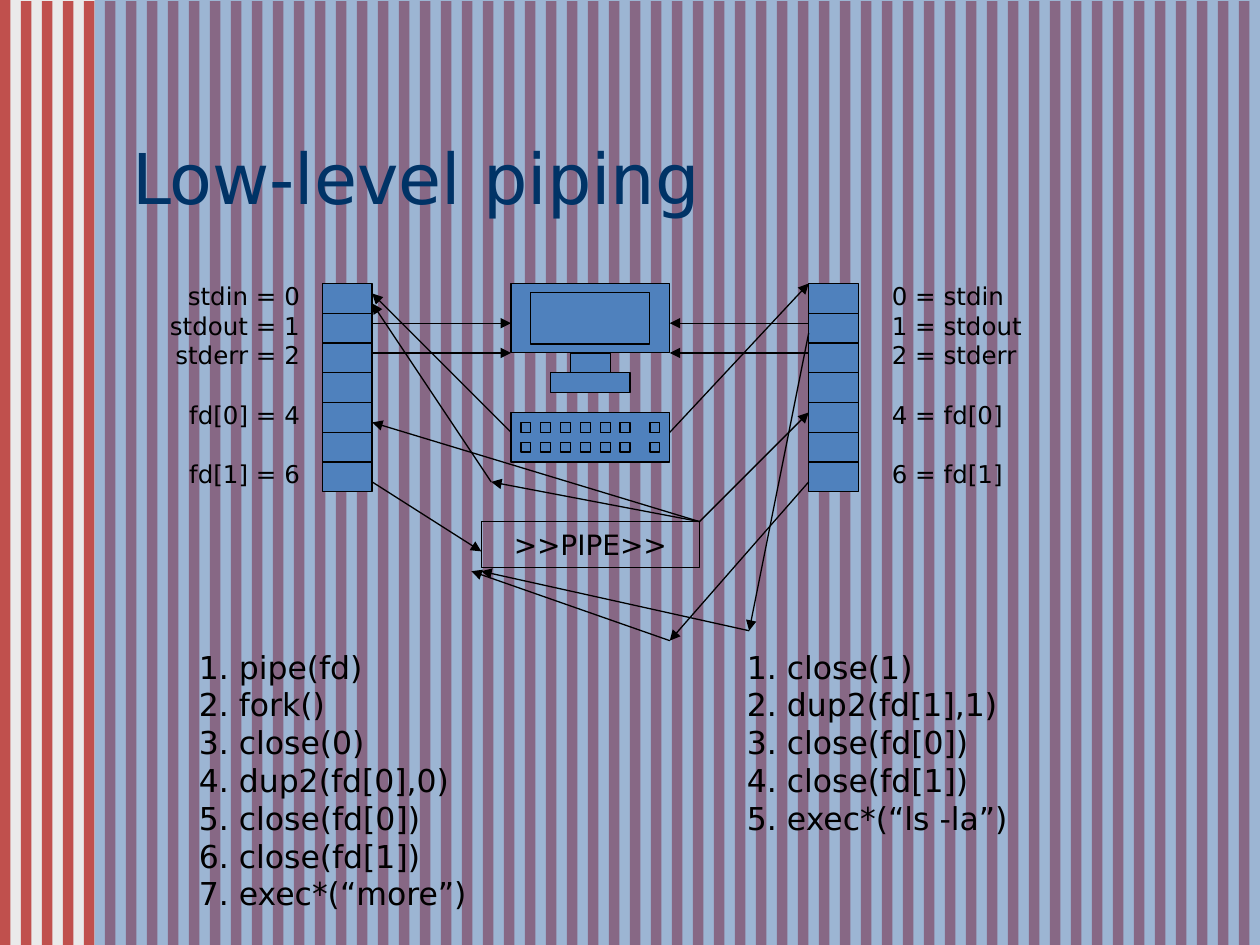
from dataclasses import dataclass
from itertools import product
from typing import Optional

from lxml.etree import SubElement
from pptx import Presentation
from pptx.dml.color import RGBColor
from pptx.enum.shapes import MSO_CONNECTOR as Conn, MSO_SHAPE as Shape
from pptx.enum.text import MSO_ANCHOR as Anchor, PP_ALIGN as Align
from pptx.oxml.ns import qn
from pptx.util import Inches, Mm, Pt


@dataclass(frozen=True)
class Theme:
    """Colours, font and sizes."""
    paper: str = "EAEAEA"
    stripe: str = "C0504D"
    blue: str = "4F81BD"
    ink: str = "000000"
    heading: str = "003366"
    font: str = "DejaVu Sans"
    title: int = 40
    steps: int = 18
    pipe: int = 16
    label: int = 14
    line: float = 0.74


@dataclass(frozen=True)
class Box:
    """A diagram rectangle in grid units."""
    col: float
    row: float
    cols: float
    rows: float


@dataclass(frozen=True)
class Arrow:
    """An arrow between two grid points."""
    col1: float
    row1: float
    col2: float
    row2: float


@dataclass(frozen=True)
class Label:
    """A descriptor name with its number, which is also its table cell."""
    name: str
    number: int
    width: float


T = Theme()
UNIT = Mm(2)
LEFT, TOP = Inches(2.56), Inches(2.25)
CELL = 3  # grid rows in one descriptor cell

TABLES = [Box(col, CELL * i, 5, CELL) for col in (0, 49) for i in range(7)]
COMPUTER = [
    Box(19, 0, 16, 7),       # monitor
    Box(25, 7, 4, 2),        # neck
    Box(23, 9, 8, 2),        # foot
    Box(19, 13, 16, 5),      # keyboard
    Box(21, 0.9, 12, 5.2),   # screen
]
KEYS = [Box(c, r, 1, 1) for r, c in product((14, 16), (*range(20, 31, 2), 33))]
PIPE = Box(16, 24, 22, 4.6)

ARROWS = [
    Arrow(19, 15, 5, 1), Arrow(5, 4, 19, 4), Arrow(5, 7, 19, 7),
    Arrow(5, 20, 16, 27), Arrow(38, 24, 5, 14),
    Arrow(49, 4, 35, 4), Arrow(49, 7, 35, 7), Arrow(35, 15, 49, 0),
    Arrow(38, 24, 49, 13), Arrow(49, 20, 35, 36), Arrow(35, 36, 15, 29),
    Arrow(49, 5, 43, 35), Arrow(43, 35, 16, 29),
    Arrow(17, 20, 5, 2), Arrow(38, 24, 17, 20),
]
LABELS = [
    Label("stdin", 0, 1.09), Label("stdout", 1, 1.23), Label("stderr", 2, 1.19),
    Label("fd[0]", 4, 1.08), Label("fd[1]", 6, 1.08),
]
PARENT = ["pipe(fd)", "fork()", "close(0)", "dup2(fd[0],0)",
          "close(fd[0])", "close(fd[1])", "exec*(“more”)"]
CHILD = ["close(1)", "dup2(fd[1],1)", "close(fd[0])", "close(fd[1])",
         "exec*(“ls -la”)"]


def rgb(code: str) -> RGBColor:
    """Turn a hex code into a colour."""
    return RGBColor.from_string(code)


def grid(col: float, row: float) -> tuple[int, int]:
    """Place a grid point on the slide."""
    return round(LEFT + col * UNIT), round(TOP + row * UNIT)


def add_rect(s, x: int, y: int, w: int, h: int, *, fill: Optional[str] = None,
             line: Optional[str] = None, alpha: Optional[int] = None):
    """Draw a rectangle, optionally outlined or with opacity in percent."""
    sp = s.shapes.add_shape(Shape.RECTANGLE, x, y, w, h)
    sp.shadow.inherit = False
    if fill:
        sp.fill.solid()
        sp.fill.fore_color.rgb = rgb(fill)
    else:
        sp.fill.background()
    if line:
        sp.line.color.rgb = rgb(line)
        sp.line.width = Pt(T.line)
    else:
        sp.line.fill.background()
    if alpha is not None:
        clr = sp.fill._xPr.find(qn("a:solidFill"))[0]
        SubElement(clr, qn("a:alpha")).set("val", str(alpha * 1000))
    return sp


def add_box(s, box: Box, fill: Optional[str] = T.blue):
    """Draw an outlined box of the diagram."""
    x, y = grid(box.col, box.row)
    return add_rect(s, x, y, round(box.cols * UNIT), round(box.rows * UNIT),
                    fill=fill, line=T.ink)


def add_arrow(s, a: Arrow) -> None:
    """Draw a thin arrow with a triangular head."""
    c = s.shapes.add_connector(Conn.STRAIGHT, *grid(a.col1, a.row1),
                               *grid(a.col2, a.row2))
    c.line.color.rgb = rgb(T.ink)
    c.line.width = Pt(T.line)
    SubElement(c.line._get_or_add_ln(), qn("a:tailEnd")).set("type", "triangle")
    SubElement(c._element.spPr, qn("a:effectLst"))


def set_text(sp, *lines: str, size: int, color: str = T.ink, align=Align.LEFT,
             anchor=Anchor.TOP, wrap: bool = False, before: float = 0,
             inset: tuple[float, float] = (0.1, 0.05)) -> None:
    """Write one paragraph per line into a shape."""
    tf = sp.text_frame
    tf.word_wrap, tf.vertical_anchor = wrap, anchor
    tf.margin_left = tf.margin_right = Inches(inset[0])
    tf.margin_top = tf.margin_bottom = Inches(inset[1])
    for i, line in enumerate(lines):
        p = tf.add_paragraph() if i else tf.paragraphs[0]
        p.alignment, p.space_before = align, Pt(before)
        r = p.add_run()
        r.text = line
        r.font.name, r.font.size = T.font, Pt(size)
        r.font.color.rgb = rgb(color)


def add_text(s, x: float, y: float, w: float, h: float, *lines: str, **fmt) -> None:
    """Add a text box, measured in inches."""
    set_text(s.shapes.add_textbox(*map(Inches, (x, y, w, h))), *lines, **fmt)


def add_background(s, width: int, height: int) -> None:
    """Draw the stripes and the translucent panel over them."""
    s.background.fill.solid()
    s.background.fill.fore_color.rgb = rgb(T.paper)
    pitch = width / 60
    for i in range(60):
        add_rect(s, round(i * pitch), Inches(0.01 if i else 0),
                 round(pitch / 2), height, fill=T.stripe)
    edge = round(width * 0.075)
    add_rect(s, edge, 0, width - edge, height, fill=T.blue, alpha=50)


def add_labels(s) -> None:
    """Name the descriptors beside both tables."""
    for lb in LABELS:
        y = 2.18 + lb.number * CELL * UNIT.inches
        add_text(s, 2.48 - lb.width, y, lb.width, 0.33,
                 f"{lb.name} = {lb.number}", size=T.label, align=Align.RIGHT)
        add_text(s, 6.98, y, lb.width, 0.33,
                 f"{lb.number} = {lb.name}", size=T.label)


def add_steps(s, x: float, h: float, calls: list[str]) -> None:
    """List the numbered calls of one process."""
    add_text(s, x, 5.09, 2.6, h, *(f"{n}. {c}" for n, c in enumerate(calls, 1)),
             size=T.steps, wrap=True)


def main() -> None:
    """Build and save the slide."""
    prs = Presentation()
    prs.slide_width, prs.slide_height = Inches(10), Inches(7.5)
    s = prs.slides.add_slide(prs.slide_layouts[6])
    add_background(s, prs.slide_width, prs.slide_height)
    add_text(s, 0.95, 1.01, 8.93, 0.77, "Low-level piping", size=T.title,
             color=T.heading, anchor=Anchor.BOTTOM, wrap=True, inset=(0.1, 0.05))
    for box in TABLES + COMPUTER + KEYS:
        add_box(s, box)
    set_text(add_box(s, PIPE, fill=None), ">>PIPE>>", size=T.pipe,
             align=Align.CENTER, wrap=True, before=8)
    for arrow in ARROWS:
        add_arrow(s, arrow)
    add_labels(s)
    add_steps(s, 1.48, 2.2, PARENT)
    add_steps(s, 5.83, 1.6, CHILD)
    prs.save("out.pptx")


main()
